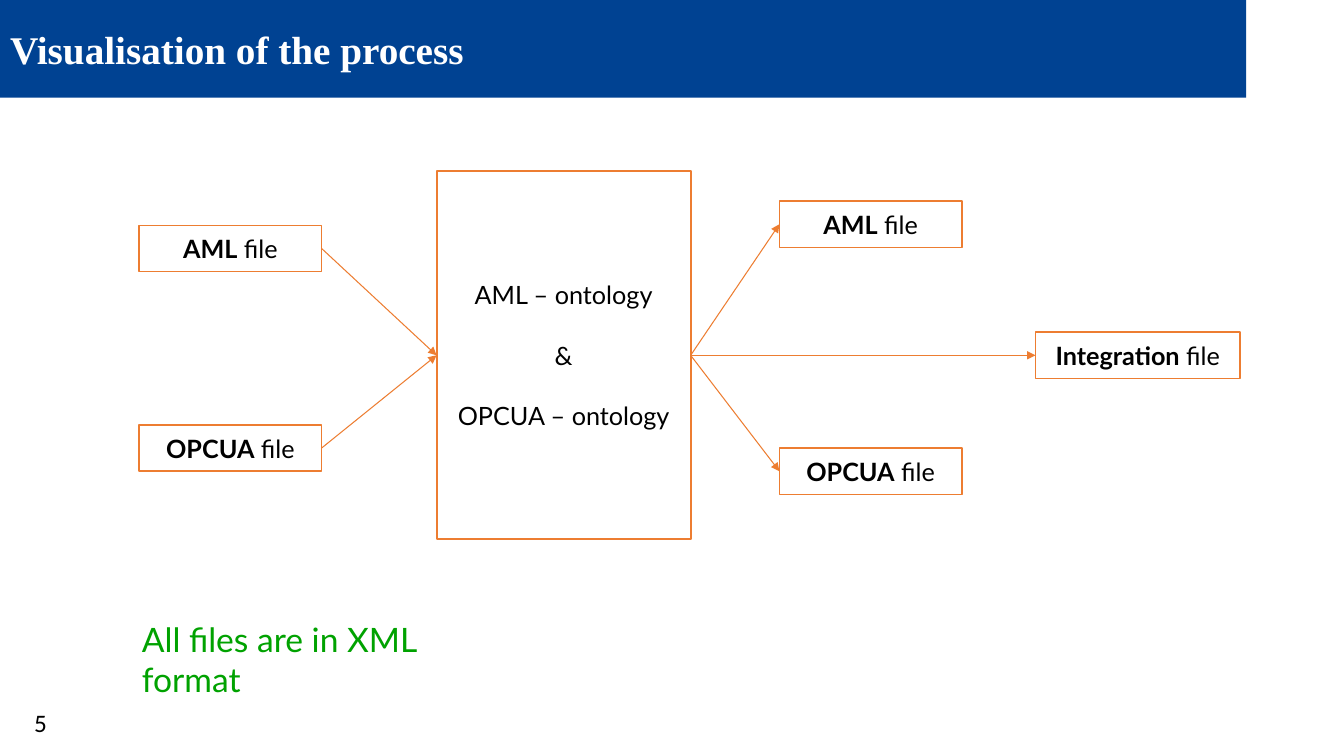
from dataclasses import dataclass

from lxml import etree
from pptx import Presentation
from pptx import util as u
from pptx.dml.color import RGBColor
from pptx.enum import shapes, text
from pptx.oxml.ns import qn


@dataclass(frozen=True)
class Theme:
    """Colours, fonts and type sizes of the slide."""
    blue: str = "004292"
    orange: str = "ED7D31"
    green: str = "00A200"
    white: str = "FFFFFF"
    black: str = "000000"
    title_font: str = "Times New Roman"
    body_font: str = "Lato"
    number_font: str = "Calibri"
    title_size: int = 28
    note_size: int = 24
    body_size: int = 18


T = Theme()
LEFT, RIGHT = 1, 3


def inches(*values):
    """Turn numbers into lengths."""
    return [u.Inches(v) for v in values]


def set_frame(tf, anchor):
    """Give a text frame its margins, wrapping and anchor."""
    fmt = dict(word_wrap=True, auto_size=text.MSO_AUTO_SIZE.NONE,
               vertical_anchor=anchor,
               margin_left=u.Inches(0.1), margin_right=u.Inches(0.1),
               margin_top=u.Inches(0.05), margin_bottom=u.Inches(0.05))
    for name, value in fmt.items():
        setattr(tf, name, value)


def add_run(p, words, colour, **fmt):
    """Append a formatted run to a paragraph."""
    r = p.add_run()
    r.text = words
    r.font.color.rgb = RGBColor.from_string(colour)
    for name, value in fmt.items():
        setattr(r.font, name, value)


def add_box(s, box, width, fill=None):
    """Add an outlined box and return it."""
    sp = s.shapes.add_shape(shapes.MSO_SHAPE.RECTANGLE, *inches(*box))
    sp.shadow.inherit = False
    if fill:
        sp.fill.solid()
        sp.fill.fore_color.rgb = RGBColor.from_string(fill)
    else:
        sp.fill.background()
    sp.line.color.rgb = RGBColor.from_string(T.orange)
    sp.line.width = u.Pt(width)
    set_frame(sp.text_frame, text.MSO_ANCHOR.MIDDLE)
    return sp


def add_file(s, kind, box):
    """Add a file box with its kind in bold."""
    sp = add_box(s, box, 1, T.white)
    p = sp.text_frame.paragraphs[0]
    p.alignment = text.PP_ALIGN.CENTER
    for words, bold in ((kind, True), (" file", False)):
        add_run(p, words, T.black, name=T.body_font, size=u.Pt(T.body_size), bold=bold)
    return sp


def add_hub(s, lines, box):
    """Add the central box with spaced lines."""
    sp = add_box(s, box, 1.5)
    tf = sp.text_frame
    for i, words in enumerate(lines):
        p = tf.add_paragraph() if i else tf.paragraphs[0]
        p.alignment = text.PP_ALIGN.CENTER
        if i:
            p.space_before = u.Pt(1.2 * T.body_size)
        add_run(p, words, T.black, name=T.body_font, size=u.Pt(T.body_size))
    return sp


def add_arrow(s, start, end):
    """Join the right side of one box to the left side of another."""
    c = s.shapes.add_connector(shapes.MSO_CONNECTOR.STRAIGHT, 0, 0, 0, 0)
    c.begin_connect(start, RIGHT)
    c.end_connect(end, LEFT)
    c.line.color.rgb = RGBColor.from_string(T.orange)
    c.line.width = u.Pt(0.75)
    etree.SubElement(c.line._get_or_add_ln(), qn("a:tailEnd"), type="triangle")
    etree.SubElement(c._element.spPr, qn("a:effectLst"))


def add_header(s, words, box):
    """Format the title placeholder as the top band."""
    sp = s.shapes.title
    for name, value in zip(("left", "top", "width", "height"), inches(*box)):
        setattr(sp, name, value)
    sp.fill.solid()
    sp.fill.fore_color.rgb = RGBColor.from_string(T.blue)
    set_frame(sp.text_frame, text.MSO_ANCHOR.MIDDLE)
    p = sp.text_frame.paragraphs[0]
    p.alignment = text.PP_ALIGN.LEFT
    add_run(p, words, T.white, name=T.title_font, size=u.Pt(T.title_size), bold=True)


def add_process(s, box):
    """Place the input files, the ontologies and the output files."""
    x, y, w, h = box
    mid, file_w, file_h, last_w = y + h / 2, 1.81, 0.46, 2.03
    hub = add_hub(s, ("AML – ontology", "&", "OPCUA – ontology"), (x + 2.95, y, 2.52, h))
    out_x = x + 6.35
    files = (("AML", x, -1.06, file_w, True),
             ("OPCUA", x, 0.92, file_w, True),
             ("AML", out_x, -1.3, file_w, False),
             ("OPCUA", out_x, 1.15, file_w, False),
             ("Integration", x + w - last_w, 0, last_w, False))
    for kind, left, shift, width, is_input in files:
        sp = add_file(s, kind, (left, mid + shift - file_h / 2, width, file_h))
        add_arrow(s, *((sp, hub) if is_input else (hub, sp)))


def add_note(s, words, box, colour, font, size):
    """Add a plain line of text."""
    tf = s.shapes.add_textbox(*inches(*box)).text_frame
    set_frame(tf, text.MSO_ANCHOR.TOP)
    add_run(tf.paragraphs[0], words, colour, name=font, size=u.Pt(size))


def main():
    """Build the slide and save it."""
    prs = Presentation()
    prs.slide_width, prs.slide_height = inches(13.33, 7.5)
    s = prs.slides.add_slide(prs.slide_layouts[5])
    add_header(s, "Visualisation of the process", (0, 0, 12.36, 0.97))
    add_process(s, (1.38, 1.7, 10.92, 3.65))
    add_note(s, "All files are in XML format", (1.31, 6.09, 3.9, 0.4),
             T.green, T.body_font, T.note_size)
    add_note(s, "5", (0.24, 6.97, 0.33, 0.4), T.black, T.number_font, T.body_size)
    prs.save("out.pptx")


if __name__ == "__main__":
    main()
